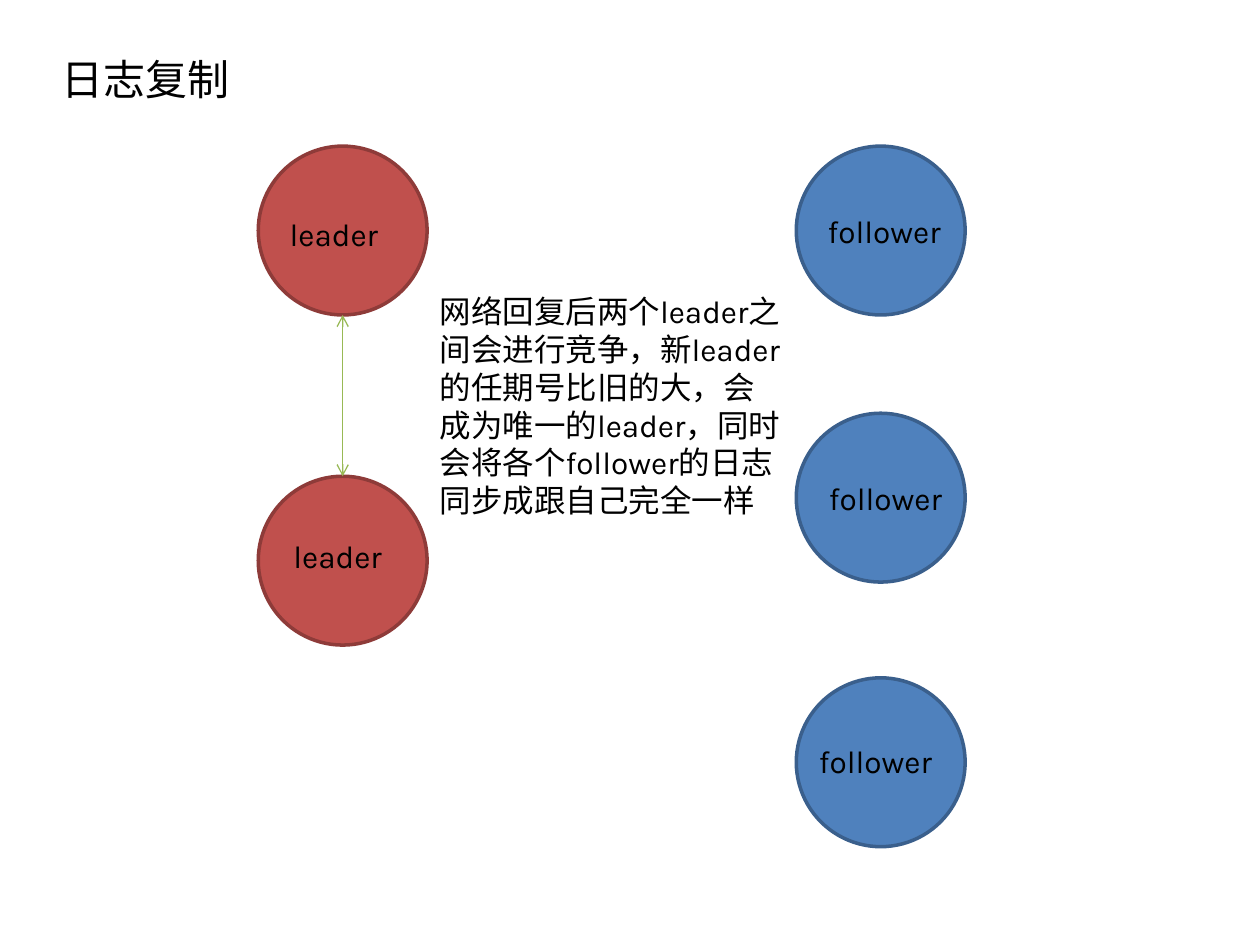
import pptx
import pptx.util
import pptx.dml.color
import pptx.enum.shapes
import pptx.enum.text
import pptx.oxml
import pptx.oxml.ns
import lxml.etree

WIDTH, HEIGHT = 10, 7.5
DIAMETER = 1.34
LABEL_W, LABEL_H = 1.18, 0.4
LATIN, CJK = "Karla", "Noto Sans CJK SC"
COLORS = {
    "text": "000000",
    "leader": "C0504D",
    "leader_line": "8E3B39",
    "follower": "4F81BD",
    "follower_line": "3A5F8C",
    "arrow": "98B955",
}
# Circle top and label offset (x, y) inside the circle, in inches
LEADERS = [(1.16, (0.15, 0.5)), (3.78, (0.18, 0.43))]
FOLLOWERS = [(1.16, (0.15, 0.47)), (3.28, (0.16, 0.47)), (5.38, (0.08, 0.46))]


def inches(*values):
    return [pptx.util.Inches(v) for v in values]


def rgb(name):
    return pptx.dml.color.RGBColor.from_string(COLORS[name])


def add_text(slide, box, text, size=18, font=LATIN, anchor="TOP"):
    tf = slide.shapes.add_textbox(*inches(*box)).text_frame
    tf.word_wrap = True
    tf.vertical_anchor = pptx.enum.text.MSO_ANCHOR[anchor]
    p = tf.paragraphs[0]
    p.text = text
    p.font.size = pptx.util.Pt(size)
    p.font.color.rgb = rgb("text")
    p.font.name = font
    def_rpr = p._p.pPr.find(pptx.oxml.ns.qn("a:defRPr"))
    lxml.etree.SubElement(def_rpr, pptx.oxml.ns.qn("a:ea"), typeface=CJK)


def add_nodes(slide, left, role, nodes):
    """Stack labelled circles of one role in a column; return the circles."""
    circles = []
    for top, (dx, dy) in nodes:
        s = slide.shapes.add_shape(
            pptx.enum.shapes.MSO_SHAPE.OVAL,
            *inches(left, top, DIAMETER, DIAMETER))
        s.shadow.inherit = False
        s.fill.solid()
        s.fill.fore_color.rgb = rgb(role)
        s.line.color.rgb = rgb(role + "_line")
        s.line.width = pptx.util.Pt(2)
        add_text(slide, (left + dx, top + dy, LABEL_W, LABEL_H), role)
        circles.append(s)
    return circles


def add_double_arrow(slide, upper, lower):
    """Join the bottom of one circle to the top of the one below."""
    x = upper.left + upper.width // 2
    c = slide.shapes.add_connector(
        pptx.enum.shapes.MSO_CONNECTOR.STRAIGHT,
        x, upper.top + upper.height, x, lower.top)
    c.end_connect(lower, 0)
    c.line.color.rgb = rgb("arrow")
    c.line.width = pptx.util.Pt(0.75)
    ln = c.line._get_or_add_ln()
    for end in ("a:headEnd", "a:tailEnd"):
        lxml.etree.SubElement(ln, pptx.oxml.ns.qn(end), type="arrow")
    lxml.etree.SubElement(c._element.spPr, pptx.oxml.ns.qn("a:effectLst"))


def main():
    prs = pptx.Presentation()
    prs.slide_width, prs.slide_height = inches(WIDTH, HEIGHT)
    slide = prs.slides.add_slide(prs.slide_layouts[6])

    add_text(slide, (0.39, 0, 0.9 * WIDTH, HEIGHT / 6), "日志复制",
             size=24, font=CJK, anchor="MIDDLE")
    upper, lower = add_nodes(slide, 2.05, "leader", LEADERS)
    add_nodes(slide, 6.32, "follower", FOLLOWERS)
    add_double_arrow(slide, upper, lower)
    add_text(slide, (2.05 + DIAMETER, 2.27, 2.94, 1.92),
             "网络回复后两个leader之间会进行竞争，新leader的任期号比旧的大，"
             "会成为唯一的leader，同时会将各个follower的日志同步成跟自己完全一样")
    prs.save("out.pptx")


if __name__ == "__main__":
    main()
